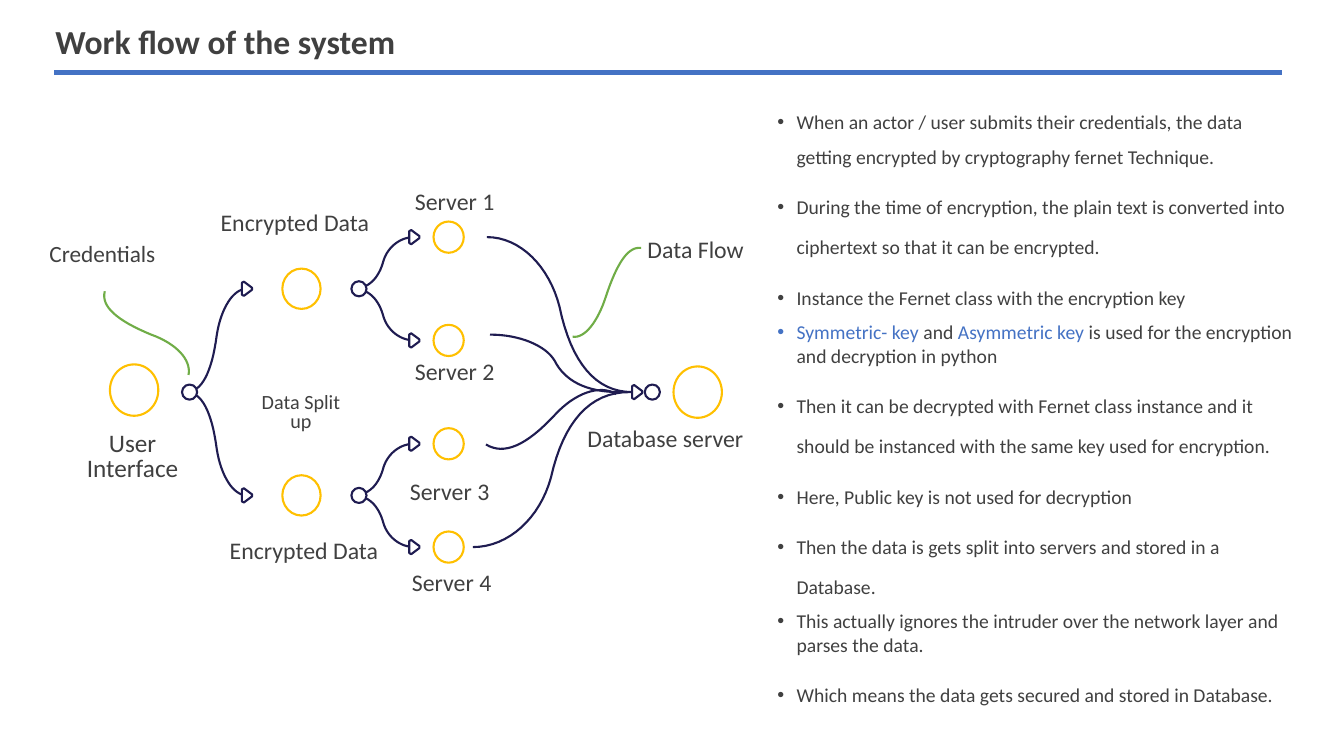
from pptx import Presentation
from pptx.util import Inches, Pt
from pptx.dml.color import RGBColor
from pptx.enum.shapes import MSO_CONNECTOR, MSO_SHAPE
from pptx.enum.text import MSO_ANCHOR, MSO_AUTO_SIZE, PP_ALIGN
from lxml.etree import SubElement
from pptx.oxml.ns import qn

HUES = {"text": "404040", "blue": "4472C4", "navy": "1F1C51",
        "gold": "FFC000", "green": "70AD47", "white": "FFFFFF"}
INK = {name: RGBColor.from_string(code) for name, code in HUES.items()}
CELL = Inches(1)  # columns and rows of a one-inch grid

deck = Presentation()
deck.slide_width, deck.slide_height = int(13.33 * CELL), int(7.5 * CELL)
slide = deck.slides.add_slide(deck.slide_layouts[1])
shapes = slide.shapes


def style(shape, line, fill=None):
    shape.shadow.inherit = False
    shape.line.color.rgb = INK[line]
    shape.line.width = Pt(1.5)
    if fill:
        shape.fill.solid()
        shape.fill.fore_color.rgb = INK[fill]
    else:
        shape.fill.background()


def trace(points, line, fill=None):
    """Draw a closed outline if filled, else an open line."""
    dots = [(x * CELL, y * CELL) for x, y in points]
    pen = shapes.build_freeform(*dots[0], scale=1.0)
    pen.add_line_segments(dots[1:], close=bool(fill))
    style(pen.convert_to_shape(), line, fill)


# Title and rule
title = shapes.title
body = slide.placeholders[1]
for holder, box in ((title, (0.45, 0.11, 12.36, 0.55)),
                    (body, (7.64, 0.93, 5.31, 6.31))):
    holder.left, holder.top, holder.width, holder.height = [
        int(n * CELL) for n in box]
    holder.text_frame.auto_size = MSO_AUTO_SIZE.NONE
    holder.text_frame.word_wrap = True
title.text_frame.text = "Work flow of the system"
title.text_frame.vertical_anchor = MSO_ANCHOR.BOTTOM
head = title.text_frame.paragraphs[0]
head.alignment, head.line_spacing = PP_ALIGN.LEFT, 0.9
font = head.runs[0].font
font.name, font.size, font.bold = "Calibri", Pt(24), True
font.color.rgb = INK["text"]

rule = shapes.add_connector(MSO_CONNECTOR.STRAIGHT, *[
    int(n * CELL) for n in (0.54, 0.72, 12.72, 0.72)])
rule.line.color.rgb = INK["blue"]
rule.line.width = Pt(3)
SubElement(rule._element.spPr, qn("a:effectLst"))

# Rows of the diagram, spread evenly about the middle
MID, STEP = 3.89, 0.5125
DATA = [MID - 2 * STEP, MID + 2 * STEP]
HOSTS = [MID + k * STEP for k in (-3, -1, 1, 3)]

# S-curves: seven control points, two cubic spans each
SWAY = [(0, 0), (0.25, 0), (0.42, 0.19), (0.5, 0.55),
        (0.57, 0.81), (0.77, 1), (1, 1)]
ends = [(1.85, MID, 2.45, y) for y in DATA]
ends += [(3.5, DATA[i // 2], 4.11, y) for i, y in enumerate(HOSTS)]
ends += [(6.27, MID, 4.83, HOSTS[0]), (6.14, MID, 4.86, 3.32),
         (6.24, MID, 4.69, HOSTS[3])]
curves = [("navy", [(a + (c - a) * u, b + (d - b) * v) for u, v in SWAY])
          for a, b, c, d in ends]
curves += [
    ("navy", [(6.11, 3.91), (5.95, 3.81), (5.7, 3.9), (5.5, 4.12),
              (5.22, 4.42), (5, 4.52), (4.82, 4.41)]),
    ("green", [(1.87, 3.72), (1.9, 3.57), (1.75, 3.41), (1.5, 3.32),
               (1.16, 3.18), (1, 3.04), (1.04, 2.89)]),
    ("green", [(5.68, 3.34), (5.8, 3.36), (5.93, 3.19), (6.01, 2.94),
               (6.12, 2.61), (6.23, 2.44), (6.36, 2.46)]),
]
for hue, knots in curves:
    path = [knots[0]]
    for span in (knots[:4], knots[3:]):
        for k in range(1, 17):
            t = k / 16
            mix = ((1 - t) ** 3, 3 * t * (1 - t) ** 2, 3 * t * t * (1 - t), t ** 3)
            path.append(tuple(sum(m * p[i] for m, p in zip(mix, span))
                              for i in (0, 1)))
    trace(path, hue)

# Arrowheads
tips = [(2.4, y) for y in DATA] + [(4.06, y) for y in HOSTS] + [(6.27, MID)]
for x, y in tips:
    trace([(x, y - 0.06), (x + 0.02, y - 0.07), (x + 0.1, y - 0.01),
           (x + 0.1, y + 0.01), (x + 0.02, y + 0.07), (x, y + 0.06)],
          "navy", "white")

# Nodes and joints
nodes = [(1.33, 3.87, 0.48, 0.51, "gold", None),
         (6.92, MID, 0.48, 0.51, "gold", None)]
nodes += [(2.99, y, 0.38, 0.4, "gold", None) for y in DATA]
nodes += [(4.45, y, 0.3, 0.31, "gold", None) for y in HOSTS]
joints = [(1.88, MID), (6.47, MID)] + [(3.56, y) for y in DATA]
nodes += [(x, y, 0.15, 0.15, "navy", "white") for x, y in joints]
for x, y, w, h, hue, fill in nodes:
    ring = shapes.add_shape(MSO_SHAPE.OVAL, *[
        int(n * CELL) for n in (x - w / 2, y - h / 2, w, h)])
    style(ring, hue, fill)

# Labels: text, box, size, line spacing
labels = [
    ("Credentials", (0.27, 2.39, 1.49, 0.31), 16.6, 0.8),
    ("User Interface", (0.78, 4.26, 1.07, 0.59), 18, 0.8),
    ("Encrypted Data", (1.86, 2.05, 2.13, 0.37), 17, 0.9),
    ("Encrypted Data", (1.95, 5.31, 2.13, 0.36), 17, 0.9),
    ("Data Split up", (2.4, 3.87, 1.17, 0.35), 14.4, 0.8),
    ("Database server", (5.72, 4.2, 1.76, 0.4), 17, 0.9),
    ("Data Flow", (6.02, 2.32, 1.76, 0.4), 17, 0.9),
]
spots = [(3.81, 1.87), (3.81, 3.55), (3.76, 4.74), (3.78, 5.65)]
labels += [(f"Server {i}", (x, y, 1.4, 0.33), 17, 0.8)
           for i, (x, y) in enumerate(spots, 1)]
frames = [body.text_frame]
for words, box, size, gap in labels:
    frame = shapes.add_textbox(*[int(n * CELL) for n in box]).text_frame
    frame.word_wrap = True
    frame.text = words
    para = frame.paragraphs[0]
    para.alignment, para.line_spacing = PP_ALIGN.CENTER, gap
    para.space_before = Pt(7.5)
    font = para.runs[0].font
    font.name, font.size = "Calibri", Pt(size)
    font.color.rgb = INK["text"]
    frames.append(frame)
for frame in frames:
    frame.margin_left = frame.margin_right = int(0.07 * CELL)
    frame.margin_top = frame.margin_bottom = int(0.04 * CELL)

# Bullet list: line spacing, then runs (in a split line, even runs are blue)
notes = [
    (1.5, ["When an actor / user submits their credentials, the data getting "
           "encrypted by cryptography fernet Technique."]),
    (1.7, ["During the time of encryption, the plain text is converted into "
           "ciphertext so that it can be encrypted."]),
    (1.7, ["Instance the Fernet class with the encryption key"]),
    (1.0, ["Symmetric- key ", "and", " Asymmetric key ",
           "is used for the encryption and decryption in python"]),
    (1.7, ["Then it can be decrypted with Fernet class instance and it should "
           "be instanced with the same key used for encryption."]),
    (1.7, ["Here, Public key is not used for decryption"]),
    (1.7, ["Then the data is gets split into servers and stored in a Database."]),
    (1.0, ["This actually ignores the intruder over the network layer and "
           "parses the data."]),
    (1.7, ["Which means the data gets secured and stored in Database."]),
]
body.text_frame.vertical_anchor = MSO_ANCHOR.TOP
body.text_frame.text = "\n".join(parts[0] for _, parts in notes)
for para, (gap, parts) in zip(body.text_frame.paragraphs, notes):
    for part in parts[1:]:
        para.add_run().text = part
    para.line_spacing, para.space_before = gap, Pt(7.5)
    para.alignment = PP_ALIGN.LEFT
    props = para._p.get_or_add_pPr()
    props.set("marL", str(int(0.19 * CELL)))
    props.set("indent", str(int(-0.19 * CELL)))
    for i, run in enumerate(para.runs):
        run.font.name, run.font.size = "Calibri", Pt(14)
        blue = len(parts) > 1 and i % 2 == 0
        run.font.color.rgb = INK["blue" if blue else "text"]

deck.save("out.pptx")
